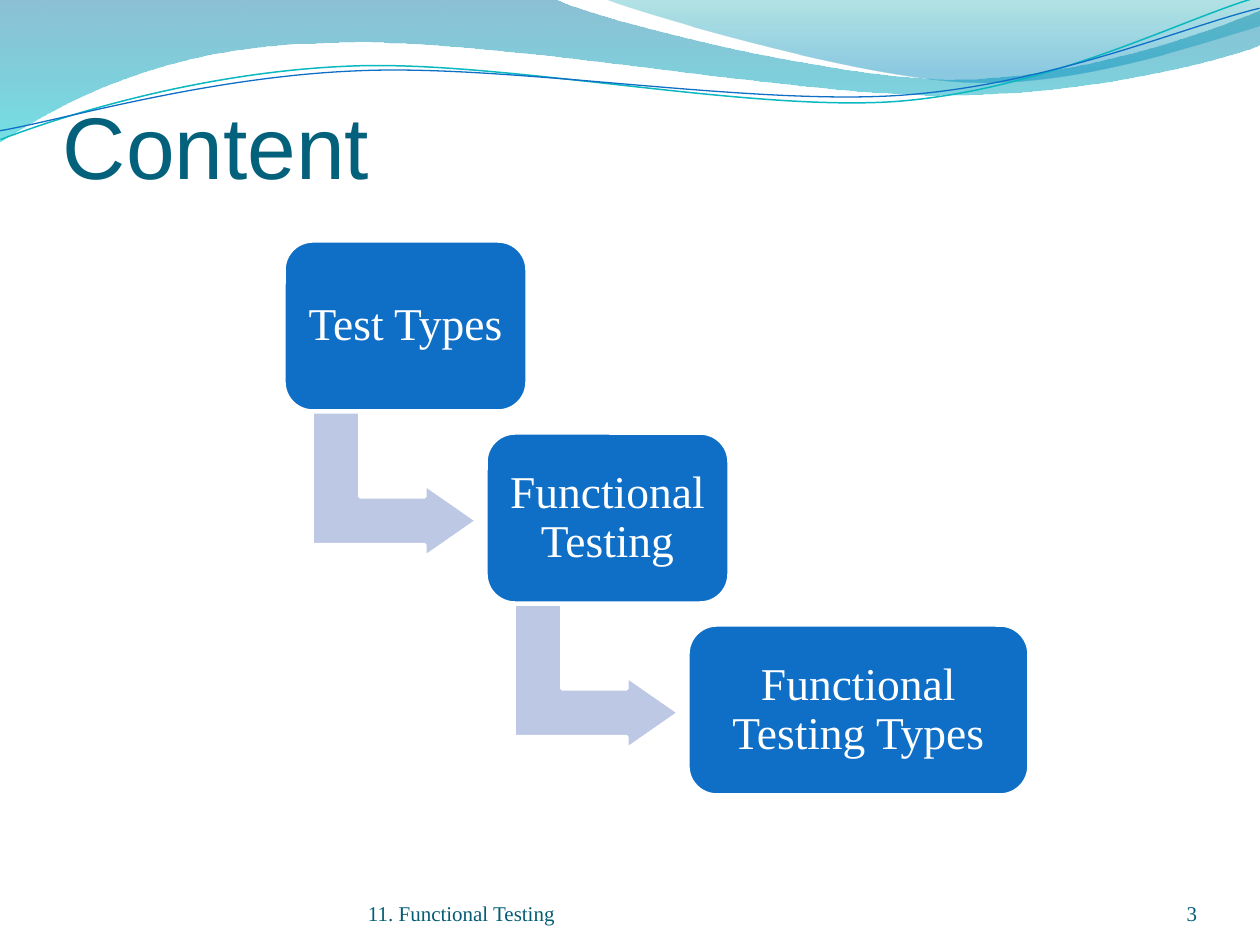
from dataclasses import dataclass

from lxml.etree import SubElement
from pptx import Presentation
from pptx.dml.color import RGBColor
from pptx.enum.shapes import MSO_SHAPE as Shape
from pptx.enum.text import MSO_ANCHOR as Anchor, PP_ALIGN as Align
from pptx.oxml.ns import qn
from pptx.util import Pt

SCALE = 914400 / 126  # EMU in one px


@dataclass(frozen=True)
class Theme:
    heading_font: str = "Arial"
    body_font: str = "Times New Roman"
    title_size: int = 50
    step_size: int = 26
    footer_size: int = 12
    title: str = "04617B"
    footer: str = "045D75"
    step: str = "0F6FC6"
    arrow: str = "BDC8E5"
    white: str = "FFFFFF"
    # gradient stops: position, colour, opacity in percent
    back_wave: tuple = ((0, "0074A1", 45), (1, "00C6CF", 55))
    front_wave: tuple = ((0, "00A1A9", 30), (0.8, "008BBF", 45))
    teal_line: str = "0AB8BF"
    blue_line: str = "0F6FC6"


THEME = Theme()


def px(value):
    return round(value * SCALE)


def rgb(colour):
    return RGBColor.from_string(colour)


def write(frame, text, size, colour, font=THEME.body_font, align=Align.LEFT,
          anchor=Anchor.BOTTOM, inset=0, spacing=None):
    frame.word_wrap = True
    frame.vertical_anchor = anchor
    frame.margin_left = frame.margin_right = px(inset)
    frame.margin_top = frame.margin_bottom = px(inset)
    para = frame.paragraphs[0]
    para.text = text
    para.alignment = align
    para.line_spacing = spacing
    para.font.name = font
    para.font.size = Pt(size)
    para.font.color.rgb = rgb(colour)


def add_label(page, box, text, size, colour, **style):
    label = page.shapes.add_textbox(*map(px, box))
    write(label.text_frame, text, size, colour, **style)


def add_outline(page, origin, start, segments, closed):
    """Segments hold one point for a straight line or three for a Bezier curve."""
    points = [start] + [point for segment in segments for point in segment]
    places = [(px(origin[0] + x), px(origin[1] + y)) for x, y in points]
    builder = page.shapes.build_freeform(*places[0], scale=1.0)
    builder.add_line_segments(places[1:], close=closed)
    outline = builder.convert_to_shape()
    outline.shadow.inherit = False
    lines = iter(list(outline._element.iter(qn("a:lnTo"))))
    for segment in segments:
        parts = [next(lines) for _ in segment]
        if len(parts) == 3:
            parts[0].tag = qn("a:cubicBezTo")
            for part in parts[1:]:
                parts[0].append(part[0])
                part.getparent().remove(part)
    return outline


def add_wave(page, origin, start, segments, stops):
    wave = add_outline(page, origin, start, segments, True)
    wave.fill.gradient()
    wave.fill.gradient_angle = 270
    for stop, (position, colour, _) in zip(wave.fill.gradient_stops, stops):
        stop.position = position
        stop.color.rgb = rgb(colour)
    for node, (_, _, opacity) in zip(wave._element.spPr.iter(qn("a:srgbClr")), stops):
        SubElement(node, qn("a:alpha")).set("val", str(opacity * 1000))
    wave.line.fill.background()


def add_ripple(page, origin, start, segments, colour, width):
    ripple = add_outline(page, origin, start, segments, False)
    ripple.rotation = 357.3
    ripple.fill.background()
    ripple.line.color.rgb = rgb(colour)
    ripple.line.width = Pt(width)


def add_banner(page, left, top):
    origin = (left, top)
    add_wave(page, origin, (0, 0), [
        [(554, -1)],
        [(600, 21), (837, 79), (955, 79)],
        [(1075, 79), (1207, 33), (1260, 11)],
        [(1261, 45)],
        [(1239, 55), (1096, 96), (940, 95)],
        [(784, 95), (481, 35), (324, 43)],
        [(163, 45), (58, 105), (-1, 142)],
    ], THEME.back_wave)
    add_wave(page, origin, (604, -1), [
        [(641, 14), (859, 78), (969, 82)],
        [(1079, 87), (1211, 40), (1260, 26)],
        [(1260, 0)],
    ], THEME.front_wave)
    add_ripple(page, origin, (-2, 110), [
        [(58, 90), (199, 52), (349, 53)],
        [(499, 53), (745, 118), (896, 114)],
        [(1049, 109), (1184, 45), (1260, 27)],
    ], THEME.teal_line, 0.85)
    add_ripple(page, origin, (-2, 101), [
        [(57, 94), (207, 57), (357, 58)],
        [(509, 58), (750, 112), (902, 108)],
        [(1052, 104), (1188, 52), (1262, 38)],
    ], THEME.blue_line, 0.75)


def add_block(page, kind, box, colour, adjustments):
    block = page.shapes.add_shape(kind, *map(px, box))
    block.shadow.inherit = False
    block.fill.solid()
    block.fill.fore_color.rgb = rgb(colour)
    block.line.color.rgb = rgb(THEME.white)
    block.line.width = Pt(2)
    for index, value in enumerate(adjustments):
        block.adjustments[index] = value
    return block


def add_staircase(page, left, top, steps):
    """Boxes going down to the right, with a bent arrow from each to the next."""
    across, down, height = 202, 192, 170
    for index, (text, width) in enumerate(steps):
        x, y = left + index * across, top + index * down
        if index < len(steps) - 1:
            arrow = add_block(page, Shape.BENT_UP_ARROW, (x + 38, y + 161, 145, 165),
                              THEME.arrow, (0.33, 0.25, 0.36))
            arrow.rotation = 90
        step = add_block(page, Shape.ROUNDED_RECTANGLE, (x, y, width, height),
                         THEME.step, (0.17,))
        write(step.text_frame, text, THEME.step_size, THEME.white, align=Align.CENTER,
              anchor=Anchor.MIDDLE, inset=13, spacing=0.9)


def add_footer(page, left, top, text, number):
    add_label(page, (left, top, 462, 50), text, THEME.footer_size, THEME.footer)
    add_label(page, (left + 724, top, 105, 50), number, THEME.footer_size, THEME.footer,
              align=Align.RIGHT)


def main():
    deck = Presentation()
    deck.slide_width, deck.slide_height = px(1260), px(945)
    page = deck.slides.add_slide(deck.slide_layouts[6])
    add_banner(page, 0, 0)
    add_label(page, (63, 90, 1134, 107), "Content", THEME.title_size, THEME.title,
              font=THEME.heading_font)
    add_staircase(page, 284, 241, [
        ("Test Types", 243),
        ("Functional Testing", 243),
        ("Functional Testing Types", 341),
    ])
    add_footer(page, 368, 876, "11. Functional Testing", "3")
    deck.save("out.pptx")


if __name__ == "__main__":
    main()
